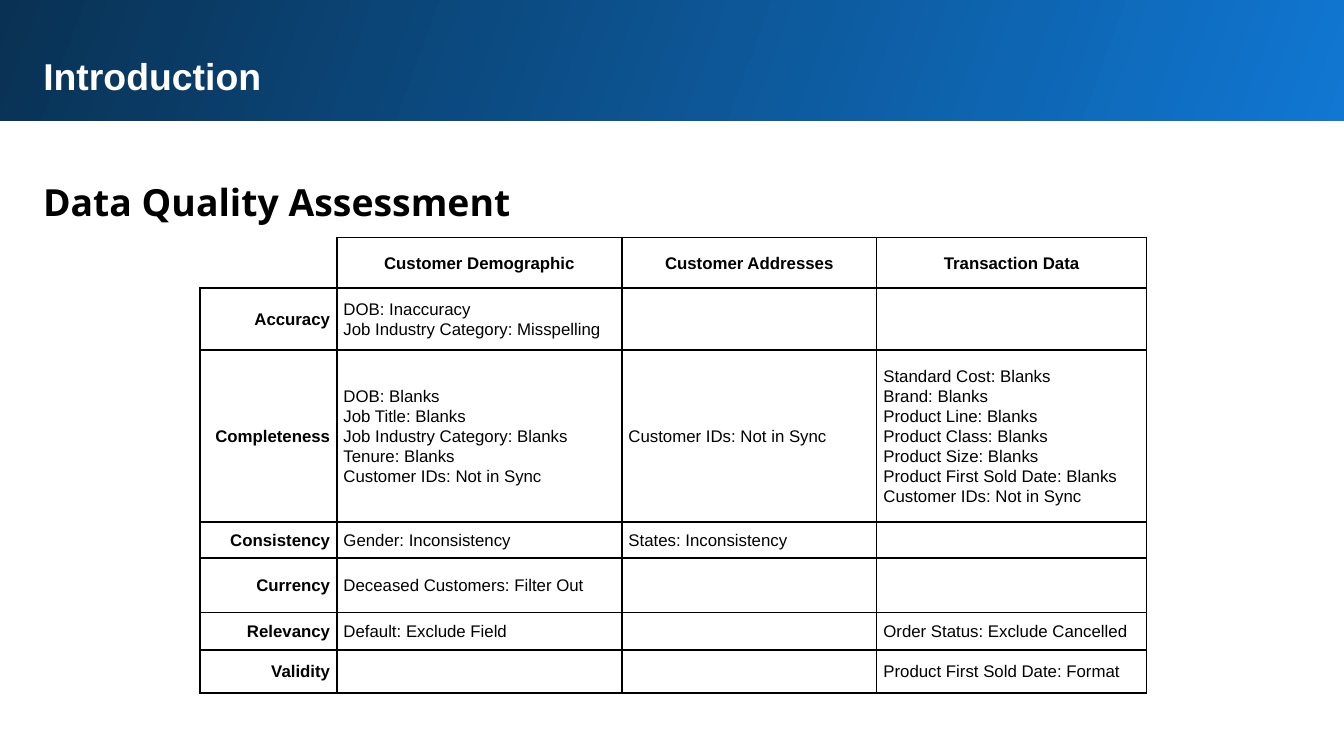
import pptx
import pptx.dml.color
import pptx.enum.text
import pptx.oxml
import pptx.util
from dataclasses import dataclass
from lxml import etree

Pt = pptx.util.Pt
RGB = pptx.dml.color.RGBColor.from_string
Align = pptx.enum.text.PP_ALIGN
Anchor = pptx.enum.text.MSO_ANCHOR
A_NS = "http://schemas.openxmlformats.org/drawingml/2006/main"


@dataclass
class Theme:
    light_blue: str = "1077D2"
    dark_blue: str = "093153"
    white: str = "FFFFFF"
    black: str = "000000"
    body_font: str = "Arial"
    heading_font: str = "Open Sans"
    heading_size: int = 20
    table_size: int = 9


theme = Theme()


def style_paragraph(paragraph, font_name, size, color, bold, align=Align.LEFT, spacing=1.0):
    paragraph.alignment = align
    paragraph.line_spacing = spacing
    font = paragraph.font
    font.name, font.size, font.bold = font_name, Pt(size), bold
    font.color.rgb = RGB(color)


def draw_borders(cell, visible):
    """Give the sides named in visible (letters of LRTB) a line and clear the others."""
    properties = cell._tc.get_or_add_tcPr()
    for side in "LRTB":
        line = etree.SubElement(properties, f"{{{A_NS}}}ln{side}", w=str(Pt(1)))
        if side in visible:
            fill = etree.SubElement(line, f"{{{A_NS}}}solidFill")
            etree.SubElement(fill, f"{{{A_NS}}}srgbClr", val=theme.black)
        else:
            etree.SubElement(line, f"{{{A_NS}}}noFill")


presentation = pptx.Presentation()
presentation.slide_width, presentation.slide_height = Pt(720), Pt(405)
slide = presentation.slides.add_slide(presentation.slide_layouts[5])

# Header band, behind the title
band = slide.shapes.add_shape(1, Pt(-1.5), Pt(-1.5), Pt(723.5), Pt(66.3))
band.shadow.inherit = False
band.line.fill.background()
band.fill.gradient()
band.fill.gradient_angle = 160
for stop, color in zip(band.fill.gradient_stops, (theme.light_blue, theme.dark_blue)):
    stop.color.rgb = RGB(color)
slide.shapes._spTree.insert(2, band._element)

# Title and subtitle
title = slide.shapes.title
title.left, title.top, title.width, title.height = Pt(16), Pt(21), Pt(674.6), Pt(36.7)
subtitle = slide.shapes.add_textbox(Pt(16), Pt(85), Pt(674.6), Pt(40.3))
for heading, text, font_name, color, spacing in (
    (title, "Introduction", theme.body_font, theme.white, 1.0),
    (subtitle, "Data Quality Assessment", theme.heading_font, theme.black, 1.15),
):
    frame = heading.text_frame
    frame.text = text
    frame.word_wrap = True
    frame.auto_size = pptx.enum.text.MSO_AUTO_SIZE.SHAPE_TO_FIT_TEXT
    frame.vertical_anchor = Anchor.TOP
    frame.margin_left = frame.margin_right = frame.margin_top = frame.margin_bottom = Pt(7.2)
    style_paragraph(frame.paragraphs[0], font_name, theme.heading_size, color, True, spacing=spacing)

# Quality issues by dimension and data set
issues = [
    ["", "Customer Demographic", "Customer Addresses", "Transaction Data"],
    ["Accuracy", "DOB: Inaccuracy\nJob Industry Category: Misspelling", "", ""],
    [
        "Completeness",
        "DOB: Blanks\nJob Title: Blanks\nJob Industry Category: Blanks\n"
        "Tenure: Blanks\nCustomer IDs: Not in Sync",
        "Customer IDs: Not in Sync",
        "Standard Cost: Blanks\nBrand: Blanks\nProduct Line: Blanks\nProduct Class: Blanks\n"
        "Product Size: Blanks\nProduct First Sold Date: Blanks\nCustomer IDs: Not in Sync",
    ],
    ["Consistency", "Gender: Inconsistency", "States: Inconsistency", ""],
    ["Currency", "Deceased Customers: Filter Out", "", ""],
    ["Relevancy", "Default: Exclude Field", "", "Order Status: Exclude Cancelled"],
    ["Validity", "", "", "Product First Sold Date: Format"],
]
column_widths = [73.2, 152.7, 136.6, 144.5]
row_heights = [27, 33.4, 92.2, 19.3, 29.2, 20.1, 22.8]

table = slide.shapes.add_table(
    len(row_heights), len(column_widths), Pt(107.2), Pt(127.2),
    Pt(sum(column_widths)), Pt(sum(row_heights)),
).table
table.first_row = table.horz_banding = False
for column, width in zip(table.columns, column_widths):
    column.width = Pt(width)
for row, height in zip(table.rows, row_heights):
    row.height = Pt(height)

for r, row_texts in enumerate(issues):
    for c, text in enumerate(row_texts):
        cell = table.cell(r, c)
        draw_borders(cell, "LRTB" if r or c else "RB")
        cell.fill.background()
        cell.vertical_anchor = Anchor.MIDDLE
        cell.margin_left = cell.margin_right = Pt(3.6)
        cell.margin_top = cell.margin_bottom = 0
        cell.text = text
        align = Align.CENTER if r == 0 else Align.RIGHT if c == 0 else Align.LEFT
        for paragraph in cell.text_frame.paragraphs:
            style_paragraph(paragraph, theme.body_font, theme.table_size, theme.black,
                            r == 0 or c == 0, align, 1.07)
            if not text:  # keeps empty cells from stretching their row
                paragraph._p.get_or_add_endParaRPr().set("sz", str(theme.table_size * 100))

presentation.save("out.pptx")
